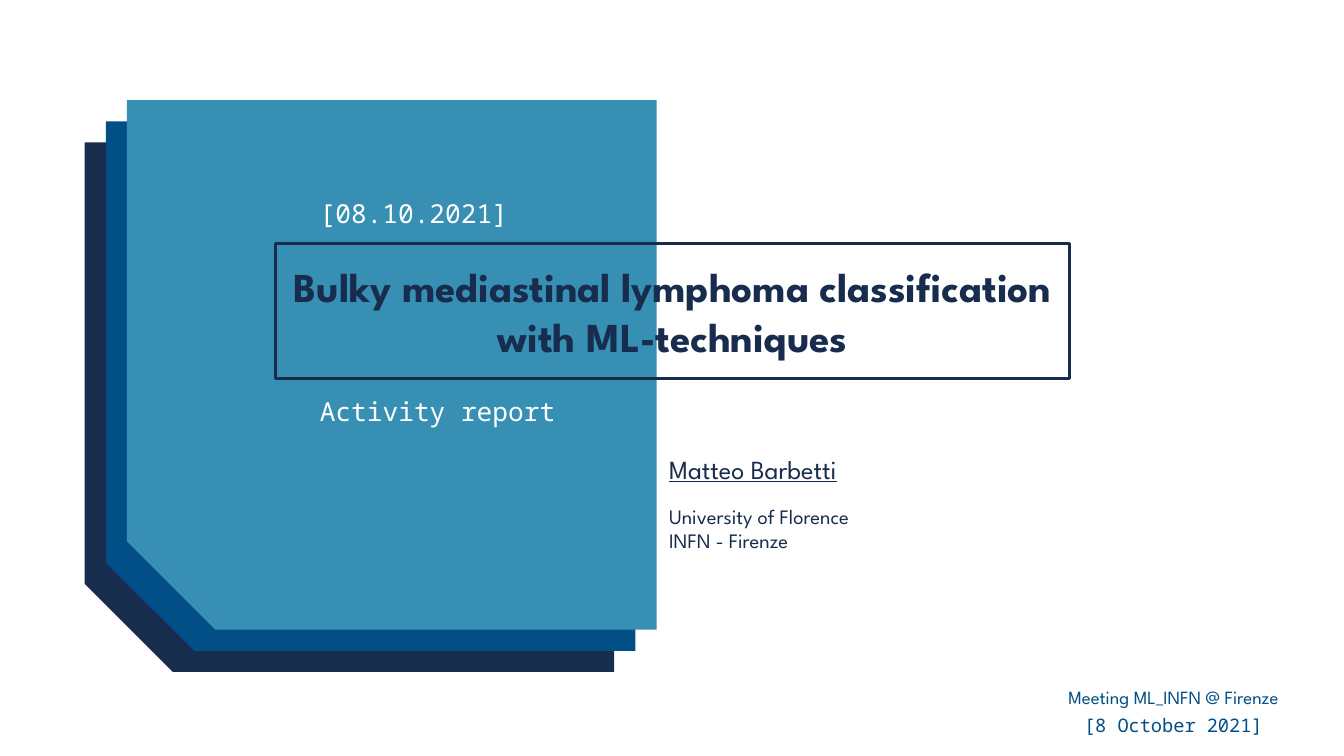
from pptx import Presentation
from pptx.dml.color import RGBColor
from pptx.enum.shapes import MSO_SHAPE
from pptx.enum.text import MSO_ANCHOR, MSO_AUTO_SIZE, PP_ALIGN
from pptx.util import Inches, Pt

NAVY = RGBColor(0x18, 0x2C, 0x4D)
BLUE = RGBColor(0x01, 0x4F, 0x86)
TEAL = RGBColor(0x37, 0x90, 0xB3)
WHITE = RGBColor(0xFF, 0xFF, 0xFF)
SANS = "League Spartan"
MONO = "Noto Sans Mono"
SNIPPED = MSO_SHAPE.SNIP_1_RECTANGLE
TOP, MIDDLE = MSO_ANCHOR.TOP, MSO_ANCHOR.MIDDLE
LEFT, CENTER = PP_ALIGN.LEFT, PP_ALIGN.CENTER
FIXED = MSO_AUTO_SIZE.NONE


def place(shape, left, top, width, height):
    shape.left, shape.top = Inches(left), Inches(top)
    shape.width, shape.height = Inches(width), Inches(height)


def set_frame(shape, anchor=TOP, vertical_margin=0.1):
    frame = shape.text_frame
    frame.word_wrap = True
    frame.auto_size = FIXED
    frame.vertical_anchor = anchor
    frame.margin_left = frame.margin_right = Inches(0.1)
    frame.margin_top = frame.margin_bottom = Inches(vertical_margin)
    return frame


def style(paragraph, size, color, name=SANS, alignment=LEFT, before=0):
    paragraph.alignment = alignment
    paragraph.space_before = Pt(before)
    for run in paragraph.runs:
        run.font.size = Pt(size)
        run.font.name = name
        run.font.color.rgb = color


def add_text(slide, box, lines, anchor=TOP):
    textbox = slide.shapes.add_textbox(*map(Inches, box))
    frame = set_frame(textbox, anchor)
    frame.text = "\n".join(lines)
    return frame.paragraphs


def add_layered_squares(slide, left, top, size):
    step = size / 25
    for index, color in enumerate((NAVY, BLUE, TEAL)):
        square = slide.shapes.add_shape(
            SNIPPED, Inches(left + index * step), Inches(top - index * step),
            Inches(size), Inches(size))
        square.rotation = 180
        square.adjustments[0] = 1 / 6
        square.shadow.inherit = False
        square.fill.solid()
        square.fill.fore_color.rgb = color
        square.line.fill.background()


def add_title_block(slide, left, top, width, height):
    title, subtitle = slide.shapes.title, slide.placeholders[1]
    place(title, left, top, width, height)
    title.line.color.rgb = NAVY
    title.line.width = Pt(1.5)
    frame = set_frame(title, MIDDLE, 0.05)
    frame.text = "Bulky mediastinal lymphoma classification with ML-techniques"
    style(frame.paragraphs[0], 22, NAVY, alignment=CENTER)
    frame.paragraphs[0].runs[0].font.bold = True

    place(subtitle, left + 0.23, top + height + 0.02, 2.6, 0.44)
    frame = set_frame(subtitle)
    frame.text = "Activity report"
    style(frame.paragraphs[0], 14, WHITE, MONO)

    for placeholder in (title, subtitle):
        slide.shapes.element.append(placeholder.element)

    date, = add_text(slide, (left + 0.23, top - 0.44, 2.11, 0.44), ["[08.10.2021]"])
    style(date, 14, WHITE, MONO)


def add_presenter(slide, *box):
    name, university, institute = add_text(
        slide, box, ["Matteo Barbetti", "University of Florence", "INFN - Firenze"], MIDDLE)
    style(name, 14, NAVY)
    name.runs[0].font.underline = True
    style(university, 11, NAVY, before=10)
    style(institute, 11, NAVY)


def add_meeting(slide, *box):
    meeting, date = add_text(slide, box, ["Meeting ML_INFN @ Firenze", "[8 October 2021]"])
    style(meeting, 10, BLUE, alignment=CENTER)
    style(date, 10, BLUE, MONO, CENTER, before=3)


def main():
    presentation = Presentation()
    presentation.slide_width = Inches(10)
    presentation.slide_height = Inches(10 * 9 / 16)
    slide = presentation.slides.add_slide(presentation.slide_layouts[0])
    add_layered_squares(slide, 0.63, 1.06, 3.94)
    add_title_block(slide, 2.05, 1.81, 5.91, 1.01)
    add_presenter(slide, 4.88, 2.81, 3.07, 1.87)
    add_meeting(slide, 7.69, 5, 2.08, 0.58)
    presentation.save("out.pptx")


if __name__ == "__main__":
    main()
